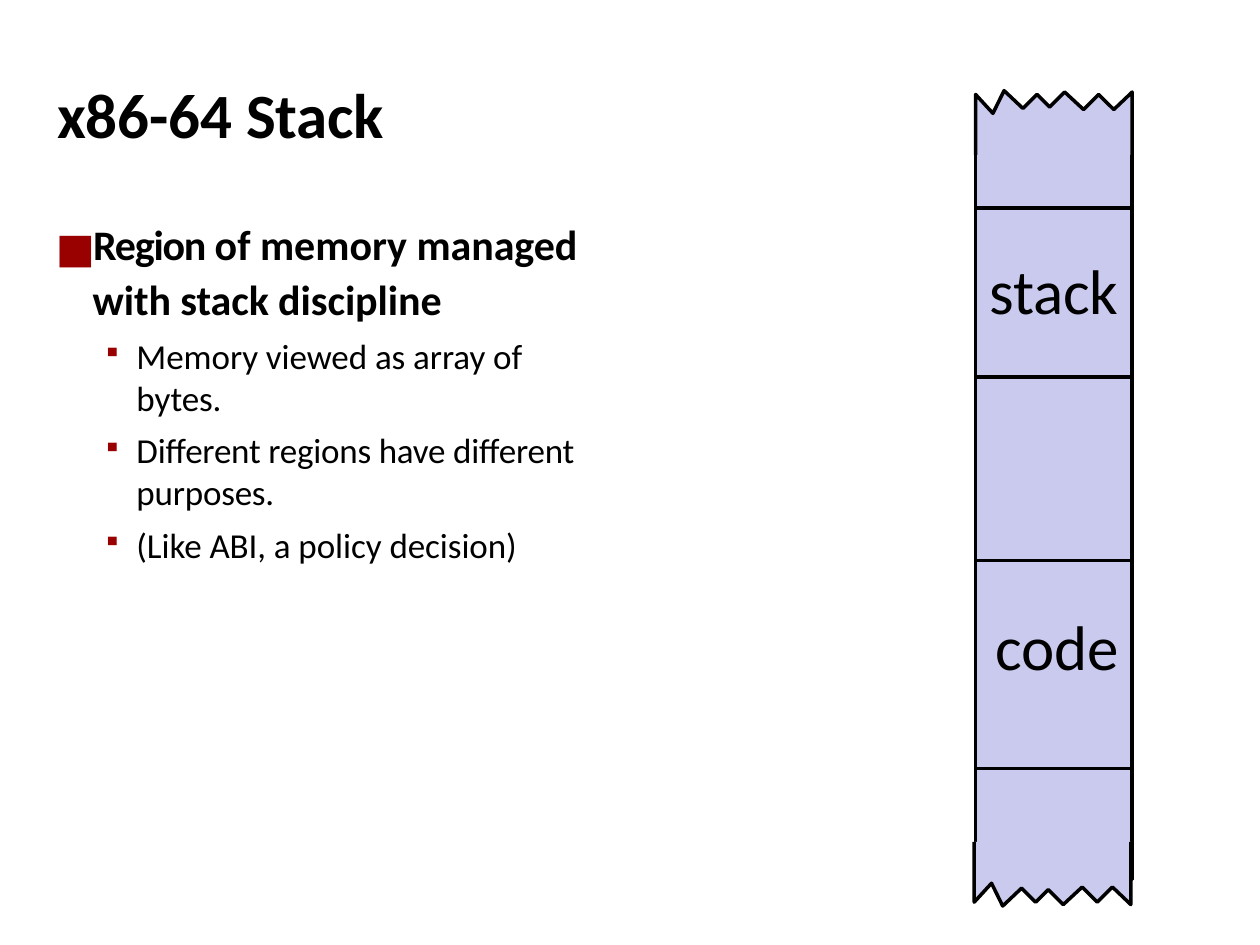
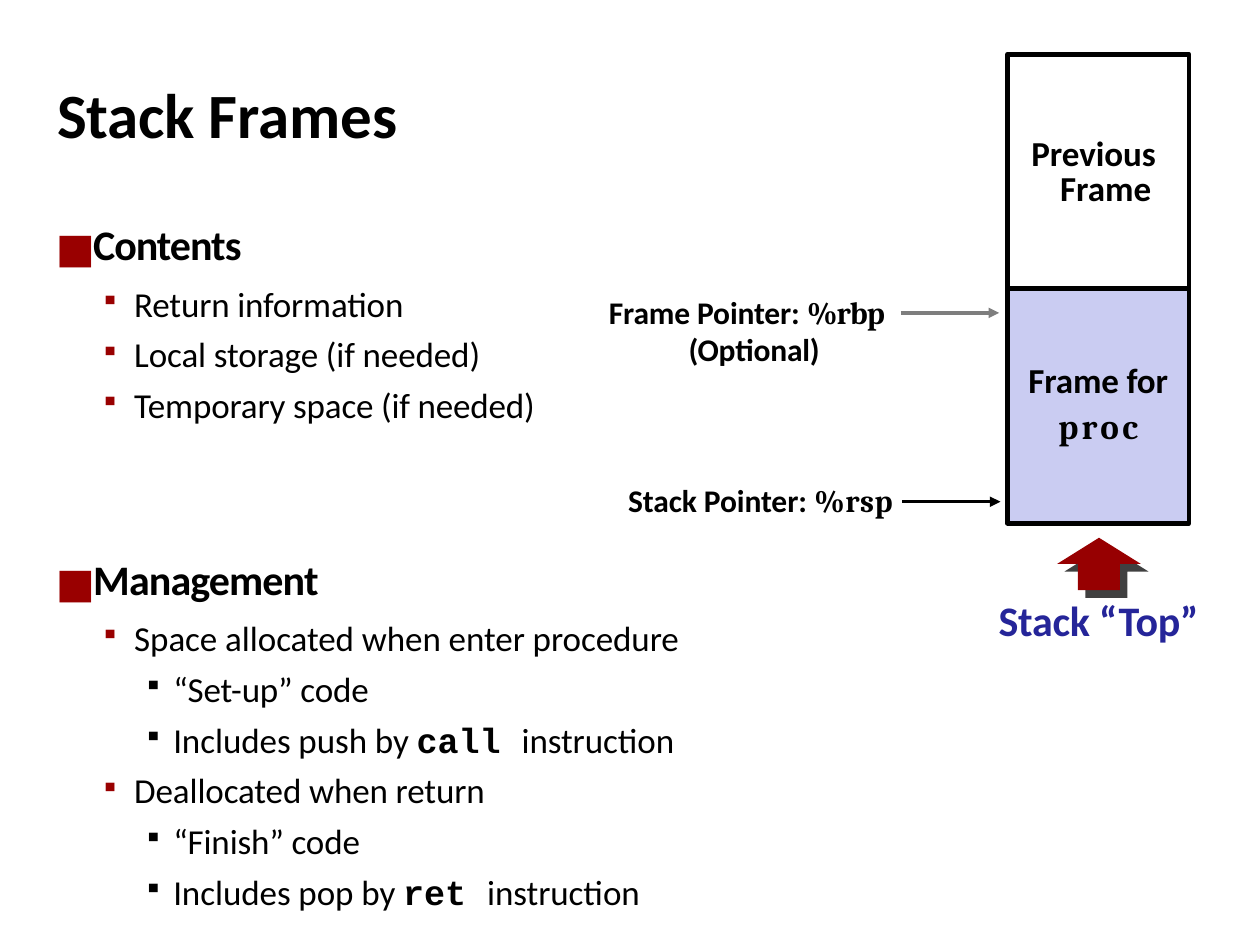
from lxml import etree
from pptx import Presentation
from pptx.dml.color import RGBColor
from pptx.enum.shapes import MSO_CONNECTOR, MSO_SHAPE
from pptx.enum.text import MSO_ANCHOR, PP_ALIGN
from pptx.oxml.ns import qn
from pptx.util import Pt

BLACK = RGBColor(0x00, 0x00, 0x00)
GRAY = RGBColor(0x7E, 0x7E, 0x7E)
DARK_RED = RGBColor(0x99, 0x00, 0x00)
ARROW_RED = RGBColor(0x97, 0x00, 0x01)
BLUE = RGBColor(0x25, 0x25, 0x99)
STRIP_LAVENDER = RGBColor(0xCA, 0xCA, 0xEE)
FRAME_LAVENDER = RGBColor(0xCA, 0xCC, 0xF2)

BODY_FONT, SERIF_FONT, CODE_FONT, SQUARE_FONT = "Calibri", "Cambria", "Courier New", "Lato"
RECTANGLE, UP_ARROW = MSO_SHAPE.RECTANGLE, MSO_SHAPE.UP_ARROW
STRAIGHT = MSO_CONNECTOR.STRAIGHT
TOP, LEFT, CENTER = MSO_ANCHOR.TOP, PP_ALIGN.LEFT, PP_ALIGN.CENTER

# Outline levels: left margin, first-line indent, size, bold, bullet colour
LEVELS = [
    (21, -20, 24, True, None),
    (44.7, -19.3, 20, False, DARK_RED),
    (67, -17, 20, False, BLACK),
]


def open_frame(shape, inset_top):
    """Clear the margins of a shape's text and return its text frame."""
    frame = shape.text_frame
    frame.word_wrap = True
    frame.vertical_anchor = TOP
    frame.margin_left = frame.margin_right = frame.margin_bottom = 0
    frame.margin_top = Pt(inset_top)
    return frame


def write(paragraph, runs, size, bold=True, color=BLACK, margin=0, indent=0, bullet_color=None):
    """Fill a paragraph; each run is (text, letter spacing) or (text, letter spacing, font)."""
    properties = paragraph._p.get_or_add_pPr()
    properties.set("marL", str(Pt(margin)))
    properties.set("indent", str(Pt(indent)))
    if bullet_color is not None:
        bullet = etree.SubElement(properties, qn("a:buClr"))
        etree.SubElement(bullet, qn("a:srgbClr"), val=str(bullet_color))
        etree.SubElement(properties, qn("a:buSzPct"), val="75000")
        etree.SubElement(properties, qn("a:buChar"), char="▪")
    paragraph.font.name = BODY_FONT
    paragraph.font.size = Pt(size)
    paragraph.font.bold = bold
    paragraph.font.color.rgb = color
    for text, spacing, *font_name in runs:
        run = paragraph.add_run()
        run.text = text
        run._r.get_or_add_rPr().set("spc", str(round(spacing * 100)))
        if font_name:
            run.font.name = font_name[0]
            run.font.bold = True
        if text == "⬛":
            run._r.get_or_add_rPr().set("baseline", "-3000")
            run.font.size = Pt(36)
            run.font.bold = False
            run.font.color.rgb = DARK_RED


SQUARE = ("⬛", -1, SQUARE_FONT)

# Per slide: title, then outline boxes as
# (top, width, inset, space before, extra margin of bullets, items)
OUTLINES = [
    ("x86-64 Stack", [
        (112.3, 310, 0.7, 6, 1.3, [
            (0, [SQUARE, ("Region ", -0.7), ("of memory ", 0),
                 ("managed with stack discipline", -0.05)]),
            (1, [("Memory viewed as array of bytes.", -0.07)]),
            (1, [("Different regions have different purposes.", -0.15)]),
            (1, [("(Like ABI, a policy decision)", -0.05)]),
        ]),
    ]),
    ("Stack Frames", [
        (105.8, 277, 7.2, 5, 0, [
            (0, [SQUARE, ("Contents", -0.6)]),
            (1, [("Return information", -0.1)]),
            (1, [("Local storage (if needed)", -0.08)]),
            (1, [("Temporary space (if needed)", -0.1)]),
        ]),
        (297, 375, 7.2, 5, 0, [
            (0, [SQUARE, ("Management", -0.5)]),
            (1, [("Space allocated when enter procedure", -0.05)]),
            (2, [("“Set-up” code", -0.1)]),
            (2, [("Includes push by ", -0.05), ("call ", -0.05, CODE_FONT), ("instruction", -0.05)]),
            (1, [("Deallocated when return", -0.08)]),
            (2, [("“Finish” code", -0.1)]),
            (2, [("Includes pop by ", -0.05), ("ret ", -0.05, CODE_FONT), ("instruction", -0.05)]),
        ]),
    ]),
]

presentation = Presentation()
presentation.slide_width = Pt(720)
presentation.slide_height = Pt(540)

# Titles and outlines
for title, boxes in OUTLINES:
    slide = presentation.slides.add_slide(presentation.slide_layouts[6])
    title_box = slide.shapes.add_textbox(Pt(32), Pt(42.5), Pt(200), Pt(45))
    write(open_frame(title_box, 0.7).paragraphs[0], [(title, -0.1)], 36, margin=0.7)
    for top, width, inset, space_before, extra, items in boxes:
        height = 124 if len(items) == 4 else 210
        box = slide.shapes.add_textbox(Pt(32), Pt(top), Pt(width), Pt(height))
        frame = open_frame(box, inset)
        for number, (level, runs) in enumerate(items):
            paragraph = frame.add_paragraph() if number else frame.paragraphs[0]
            margin, indent, size, bold, bullet_color = LEVELS[level]
            if level:
                margin += extra
            write(paragraph, runs, size, bold, BLACK, margin, indent, bullet_color)
            if number:
                paragraph.space_before = Pt(space_before)

memory_slide, frames_slide = presentation.slides

# Memory strip: the torn bottom end mirrors the torn top end
STRIP_LEFT, STRIP_WIDTH, MIRROR_SUM = 557.5, 89.5, 569.5
STRIP_TOP, STRIP_BOTTOM, END_BASE = 77, 502.5, 88.5
torn_top = [
    (557.5, END_BASE), (557.5, 54), (567.4, 64.8), (573.8, 51.8), (584.6, 62), (592.6, 54),
    (599.8, 61.2), (608.4, 52.6), (619.2, 62.6), (627.8, 54), (636.5, 62.6), (647, 52.6),
    (647, END_BASE),
]
torn_bottom = [(x - 0.8, MIRROR_SUM - y) for x, y in torn_top]
strip_parts = [memory_slide.shapes.add_shape(
    RECTANGLE, Pt(STRIP_LEFT), Pt(STRIP_TOP), Pt(STRIP_WIDTH), Pt(STRIP_BOTTOM - STRIP_TOP))]
for torn_end in [torn_top, torn_bottom]:
    outline = [(Pt(x), Pt(y)) for x, y in torn_end]
    builder = memory_slide.shapes.build_freeform(*outline[0])
    builder.add_line_segments(outline[1:], close=False)
    strip_parts.append(builder.convert_to_shape())
for y in [215.3, 439.2]:
    divider = memory_slide.shapes.add_connector(
        STRAIGHT, Pt(STRIP_LEFT), Pt(y), Pt(STRIP_LEFT + STRIP_WIDTH), Pt(y))
    divider.line.color.rgb = BLACK
    divider.line.width = Pt(2)
    etree.SubElement(divider._element.spPr, qn("a:effectLst"))
for name, top, height, inset, margin in [
    ("code", 320.4, 118.8, 26.6, 11.5),
    ("stack", 118.8, 96.5, 25.2, 7.9),
]:
    region = memory_slide.shapes.add_shape(
        RECTANGLE, Pt(STRIP_LEFT), Pt(top), Pt(STRIP_WIDTH), Pt(height))
    paragraph = open_frame(region, inset).paragraphs[0]
    write(paragraph, [(name, -0.15)], 36, bold=False, margin=margin)
    paragraph.alignment = LEFT
    strip_parts.append(region)
for part in strip_parts:
    part.shadow.inherit = False
    part.fill.solid()
    part.fill.fore_color.rgb = STRIP_LAVENDER
    part.line.color.rgb = BLACK
    part.line.width = Pt(2)

# Stack frames
FRAME_LEFT, FRAME_TOP, FRAME_WIDTH, FRAME_HEIGHT = 575.7, 31, 103.8, 134
stack_frames = []
for number, inset in enumerate([48.3, 39.8]):
    stack_frame = frames_slide.shapes.add_shape(
        RECTANGLE, Pt(FRAME_LEFT), Pt(FRAME_TOP + number * FRAME_HEIGHT),
        Pt(FRAME_WIDTH), Pt(FRAME_HEIGHT))
    stack_frame.shadow.inherit = False
    stack_frame.line.color.rgb = BLACK
    stack_frame.line.width = Pt(2.65)
    stack_frames.append(open_frame(stack_frame, inset))
    if number:
        stack_frame.fill.solid()
        stack_frame.fill.fore_color.rgb = FRAME_LAVENDER
    else:
        stack_frame.fill.background()

previous_text, current_text = stack_frames
paragraph = previous_text.paragraphs[0]
write(paragraph, [("Previous Frame", -0.05)], 20, margin=30.2, indent=-16.5)
paragraph.line_spacing = Pt(20)
paragraph.alignment = LEFT
write(current_text.paragraphs[0], [("Frame for", -0.1)], 20)
paragraph = current_text.add_paragraph()
write(paragraph, [("proc", 1.9, SERIF_FONT)], 20)
paragraph.space_before = Pt(2.5)
for paragraph in current_text.paragraphs:
    paragraph.alignment = CENTER

# Pointer arrows
for left, y, color in [(514.8, 178.8, GRAY), (515.5, 286.7, BLACK)]:
    arrow = frames_slide.shapes.add_connector(STRAIGHT, Pt(left), Pt(y), Pt(left + 56.2), Pt(y))
    arrow.line.color.rgb = color
    arrow.line.width = Pt(2)
    etree.SubElement(arrow.line._get_or_add_ln(), qn("a:tailEnd"), type="triangle")
    etree.SubElement(arrow._element.spPr, qn("a:effectLst"))

# Labels
for left, top, width, height, runs, size, color, margin, indent in [
    (347, 166.5, 166, 46,
     [("Frame Pointer: ", -0.08), ("%rbp ", -0.5, SERIF_FONT), ("(Optional)", -0.1)],
     18, BLACK, 46.5, -45.5),
    (358.2, 274, 158.5, 24,
     [("Stack Pointer: ", -0.07), ("%rsp", 0.3, SERIF_FONT)], 18, BLACK, 0.7, 0),
    (569.9, 339, 118, 31, [("Stack “Top”", -0.15)], 24, BLUE, 0.7, 0),
]:
    label = frames_slide.shapes.add_textbox(Pt(left), Pt(top), Pt(width), Pt(height))
    write(open_frame(label, 0.7).paragraphs[0], runs, size, True, color, margin, indent)

# Stack top arrow over its translucent shade
for offset, color in [(4.3, BLACK), (0, ARROW_RED)]:
    top_arrow = frames_slide.shapes.add_shape(
        UP_ARROW, Pt(604 + offset), Pt(307.3 + offset), Pt(48), Pt(30))
    top_arrow.shadow.inherit = False
    top_arrow.line.fill.background()
    top_arrow.fill.solid()
    top_arrow.fill.fore_color.rgb = color
    if offset:
        shade = top_arrow._element.spPr.find(qn("a:solidFill")).find(qn("a:srgbClr"))
        etree.SubElement(shade, qn("a:alpha"), val="75000")

presentation.save("out.pptx")
